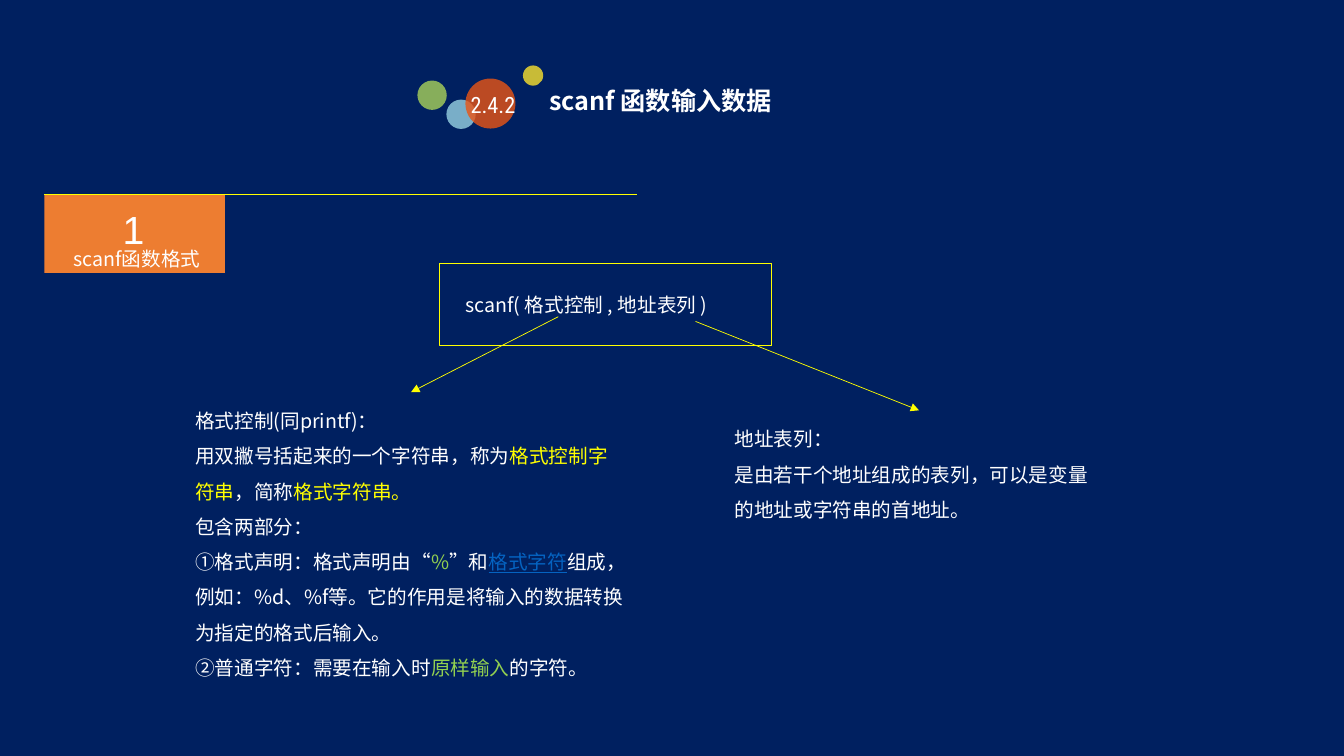
import pptx
import pptx.util
import pptx.dml.color
import pptx.enum.shapes
import pptx.enum.text
from lxml import etree

Cm = pptx.util.Cm
Pt = pptx.util.Pt
Kind = pptx.enum.shapes.MSO_SHAPE
Align = pptx.enum.text.PP_ALIGN
Anchor = pptx.enum.text.MSO_ANCHOR
NS = "{http://schemas.openxmlformats.org/drawingml/2006/main}"
SANS = "Noto Sans CJK SC"
WHITE, YELLOW, GREEN, BLUE, ORANGE = "FFFFFF", "FFFF00", "92D050", "0563C1", "ED7D31"


def tone(code):
    return pptx.dml.color.RGBColor.from_string(code)


def write(shape, paras, size, font=SANS, align=Align.LEFT, gap=1.0, pad=(0.25, 0.13), anchor=Anchor.TOP):
    frame = shape.text_frame
    frame.word_wrap = True
    frame.auto_size = pptx.enum.text.MSO_AUTO_SIZE.NONE
    frame.vertical_anchor = anchor
    frame.margin_left = frame.margin_right = Cm(pad[0])
    frame.margin_top = frame.margin_bottom = Cm(pad[1])
    for i, parts in enumerate(paras):
        para = frame.paragraphs[0] if i == 0 else frame.add_paragraph()
        para.alignment = align
        para.line_spacing = gap
        para.space_before = Pt(0)
        for text, code in parts:
            run = para.add_run()
            run.text = text
            run.font.size = Pt(size)
            run.font.name = font
            run.font.color.rgb = tone(code)
            run.font.underline = code == BLUE
            etree.SubElement(run.font._element, NS + "ea", typeface=font)


deck = pptx.Presentation()
deck.slide_width, deck.slide_height = Cm(33.87), Cm(19.05)
slide = deck.slides.add_slide(deck.slide_layouts[3])
slide.background.fill.solid()
slide.background.fill.fore_color.rgb = tone("002060")
shapes = slide.shapes

title = shapes.title
title.left, title.top, title.width, title.height = Cm(13.59), Cm(2.03), Cm(6.27), Cm(1.02)
write(title, [[("scanf 函数输入数据", WHITE)]], 18)
title.text_frame.paragraphs[0].runs[0].font.bold = True

dots = [
    (13.18, 1.65, 0.51, "FBE22D"),
    (10.52, 2.03, 0.74, "A9D25A"),
    (11.25, 2.51, 0.74, "98D2E3"),
    (11.73, 1.98, 1.26, "EA5514"),
]
for x, y, d, code in dots:
    dot = shapes.add_shape(Kind.OVAL, Cm(x), Cm(y), Cm(d), Cm(d))
    dot.shadow.inherit = False
    dot.line.fill.background()
    dot.fill.solid()
    dot.fill.fore_color.rgb = tone(code)
    shade = dot._element.spPr.find(f"{NS}solidFill/{NS}srgbClr")
    etree.SubElement(shade, NS + "alpha", val="80000")

number = shapes.add_textbox(Cm(11.79), Cm(2.29), Cm(1.27), Cm(0.69))
write(number, [[("2.4.2", WHITE)]], 16, "Roboto Condensed", Align.CENTER, pad=(0, 0))

call = shapes.add_shape(Kind.RECTANGLE, Cm(11.07), Cm(6.65), Cm(8.38), Cm(2.06))
call.shadow.inherit = False
call.fill.background()
call.line.color.rgb = tone(YELLOW)
call.line.width = Pt(0.75)
write(call, [[("scanf( 格式控制 , 地址表列 )", WHITE)]], 14, pad=(0.66, 0.13), anchor=Anchor.MIDDLE)

format_notes = [
    [("格式控制(同printf)：", WHITE)],
    [("用双撇号括起来的一个字符串，称为", WHITE), ("格式控制字符串", YELLOW),
     ("，简称", WHITE), ("格式字符串。", YELLOW)],
    [("包含两部分：", WHITE)],
    [("①格式声明：格式声明由“", WHITE), ("%", GREEN), ("”和", WHITE), ("格式字符", BLUE),
     ("组成，例如：%d、%f等。它的作用是将输入的数据转换为指定的格式后输入。", WHITE)],
    [("②普通字符：需要在输入时", WHITE), ("原样输入", GREEN), ("的字符。", WHITE)],
]
address_notes = [
    [("地址表列：", WHITE)],
    [("是由若干个地址组成的表列，可以是变量的地址或字符串的首地址。", WHITE)],
]
notes = [
    (1, (4.67, 9.88, 11.38, 7.34), format_notes),
    (2, (18.26, 10.34, 9.78, 2.84), address_notes),
]
for key, box, paras in notes:
    body = slide.placeholders[key]
    body.left, body.top, body.width, body.height = map(Cm, box)
    write(body, paras, 14, gap=1.5)
    for para in body.text_frame.paragraphs:
        props = para._p.get_or_add_pPr()
        props.set("marL", "0")
        props.set("indent", "0")
        etree.SubElement(props, NS + "buNone")

tags = [
    ((1.12, 4.9, 4.55, 1.98), "", 14, SANS),
    ((1.42, 6.05, 4.06, 0.76), "scanf函数格式", 14, SANS),
    ((2.21, 4.9, 2.31, 1.37), "1", 28, "Arial"),
]
for box, text, size, font in tags:
    tag = shapes.add_shape(Kind.RECTANGLE, *map(Cm, box))
    tag.shadow.inherit = False
    tag.line.fill.background()
    tag.fill.solid()
    tag.fill.fore_color.rgb = tone(ORANGE)
    if text:
        write(tag, [[(text, WHITE)]], size, font, Align.CENTER, 1.3, (0.36, 0.18), Anchor.MIDDLE)

lines = [
    ((14.07, 7.98, 10.36, 9.88), True),
    ((17.53, 8.1, 23.16, 10.34), True),
    ((1.12, 4.9, 16.05, 4.9), False),
]
for ends, arrow in lines:
    line = shapes.add_connector(pptx.enum.shapes.MSO_CONNECTOR.STRAIGHT, *map(Cm, ends))
    line.line.color.rgb = tone(YELLOW)
    line.line.width = Pt(0.5)
    if arrow:
        etree.SubElement(line.line._get_or_add_ln(), NS + "tailEnd", type="triangle")
    etree.SubElement(line._element.spPr, NS + "effectLst")

deck.save("out.pptx")
